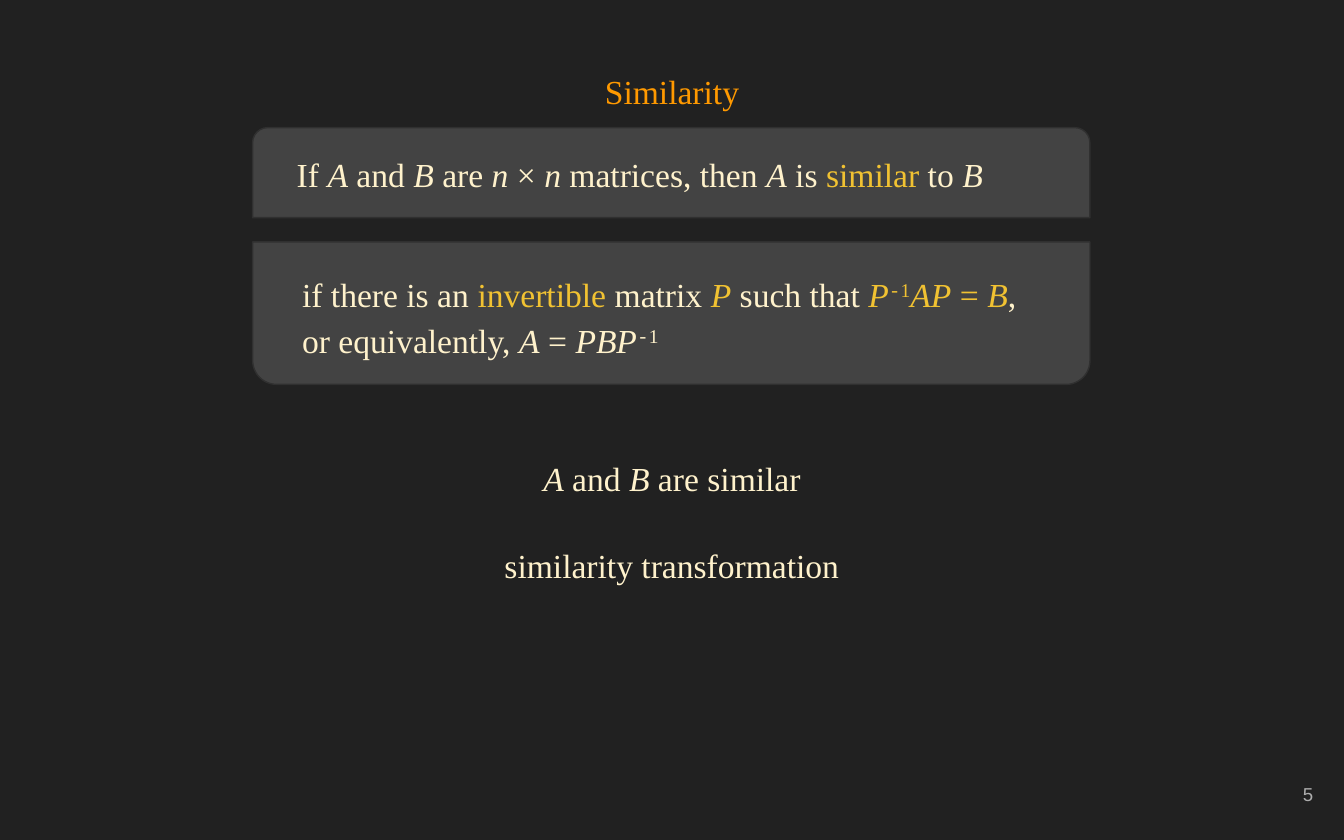
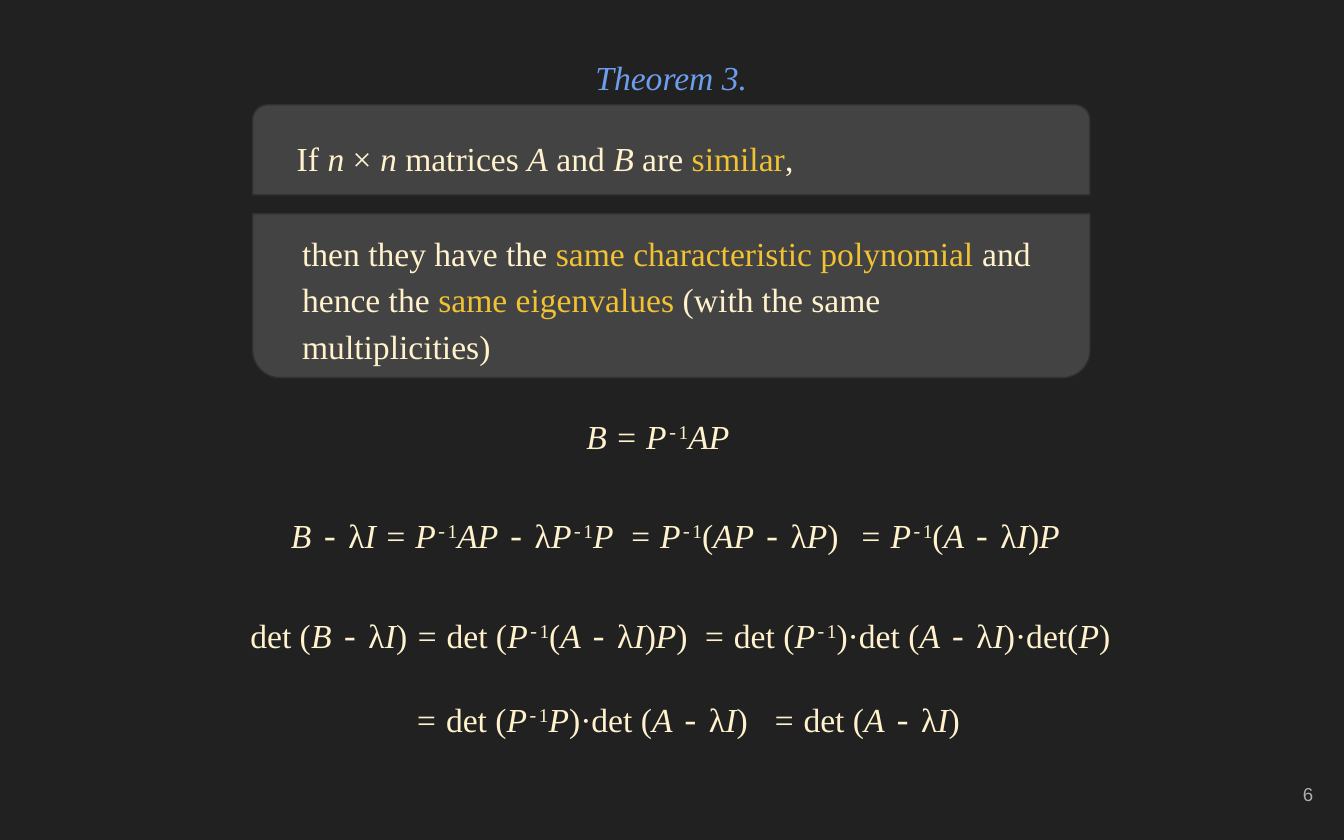
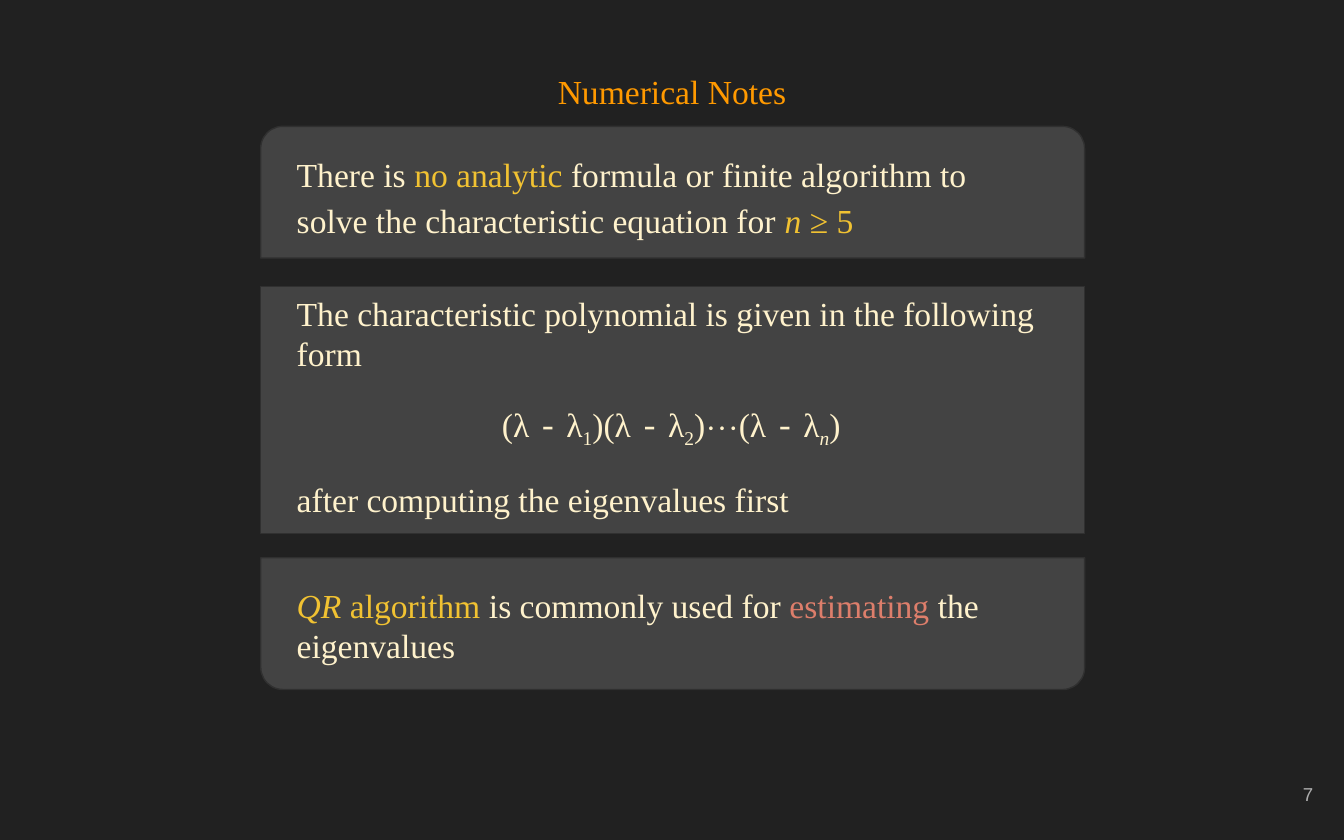
import pptx
import pptx.dml.color
import pptx.enum.shapes
import pptx.enum.text
import pptx.util

Inches = pptx.util.Inches
Align = pptx.enum.text.PP_ALIGN
Anchor = pptx.enum.text.MSO_ANCHOR
Preset = pptx.enum.shapes.MSO_SHAPE

BACKGROUND, PANEL, OUTLINE = "212121", "434343", "303030"
CREAM, GOLD, SALMON = "FFF2CC", "F1C232", "DD7E6B"
ORANGE, BLUE, GREY = "FF9900", "6D9EEB", "ADADAD"
SERIF, SANS, MONO = "Times New Roman", "Arial", "Courier New"

# Inline marks; each one switches its style on and off
ITALIC, SUPERSCRIPT, SUBSCRIPT = "*", "^", "_"
MARK_COLOURS = {"|": GOLD, "~": SALMON}
MARK_BASELINES = {SUPERSCRIPT: "30000", SUBSCRIPT: "-25000"}
MARKS = {ITALIC, *MARK_COLOURS, *MARK_BASELINES}
MINUS = "-"


def colour(value):
    return pptx.dml.color.RGBColor.from_string(value)


def split_runs(markup):
    """Yield (text, active marks); each minus sign is a run of its own."""
    active, text = set(), ""
    for character in markup:
        if character in MARKS or character == MINUS:
            if text:
                yield text, set(active)
            text = ""
            if character == MINUS:
                yield MINUS, set(active)
            else:
                active ^= {character}
        else:
            text += character
    if text:
        yield text, active


class Deck:
    def __init__(self):
        self.presentation = pptx.Presentation()
        self.presentation.slide_width = Inches(10)
        self.presentation.slide_height = Inches(6.25)
        fill = self.presentation.slide_master.background.fill
        fill.solid()
        fill.fore_color.rgb = colour(BACKGROUND)
        self.slide = None

    def add_slide(self, number):
        self.slide = self.presentation.slides.add_slide(self.presentation.slide_layouts[6])
        self.text((9.27, 5.67, 0.6, 0.48), str(number), align=Align.RIGHT,
                  font=SANS, size=10, text_colour=GREY, line_spacing=None)

    def paragraph(self, paragraph, markup, align=Align.LEFT, font=SERIF, size=18,
                  text_colour=CREAM, line_spacing=1.15, before=0, after=0):
        paragraph.alignment = align
        paragraph.line_spacing = line_spacing
        paragraph.space_before = pptx.util.Pt(before)
        paragraph.space_after = pptx.util.Pt(after)
        paragraph.font.name = font
        paragraph.font.size = pptx.util.Pt(size)
        paragraph.font.color.rgb = colour(text_colour)
        for text, marks in split_runs(markup):
            run = paragraph.add_run()
            run.text = text
            if text == MINUS:
                run.font.name = MONO
            if ITALIC in marks:
                run.font.italic = True
            for mark in marks & MARK_COLOURS.keys():
                run.font.color.rgb = colour(MARK_COLOURS[mark])
            for mark in marks & MARK_BASELINES.keys():
                run.font._element.set("baseline", MARK_BASELINES[mark])

    def text(self, box, markup, shapes=None, anchor=Anchor.MIDDLE, **style):
        shapes = shapes or self.slide.shapes
        frame = shapes.add_textbox(*map(Inches, box)).text_frame
        frame.word_wrap = True
        frame.vertical_anchor = anchor
        frame.margin_left = frame.margin_right = Inches(0.1)
        frame.margin_top = frame.margin_bottom = Inches(0.1)
        self.paragraph(frame.paragraphs[0], markup, **style)
        return frame

    def title(self, markup):
        self.text((0.34, 0.38, 9.32, 0.48), markup, anchor=Anchor.TOP,
                  align=Align.CENTER, text_colour=ORANGE, after=16)

    def equation(self, box, markup):
        self.text(box, markup, align=Align.CENTER)

    def panel(self, box, text_box, markup, rounded="top", **style):
        """A grey panel grouped with its text; rounded is top, bottom or None."""
        shapes = self.slide.shapes.add_group_shape().shapes
        preset = Preset.ROUND_2_SAME_RECTANGLE if rounded else Preset.RECTANGLE
        shape = shapes.add_shape(preset, *map(Inches, box))
        if rounded:
            shape.adjustments[0], shape.adjustments[1] = 0.167, 0
        if rounded == "bottom":
            shape.rotation = 180
        shape.shadow.inherit = False
        shape.fill.solid()
        shape.fill.fore_color.rgb = colour(PANEL)
        shape.line.color.rgb = colour(OUTLINE)
        shape.line.width = pptx.util.Pt(0.75)
        return self.text(text_box, markup, shapes, **style)


def similarity(deck):
    deck.add_slide(5)
    deck.title("Similarity")
    deck.panel((1.88, 0.95, 6.23, 0.67), (2.11, 1, 5.77, 0.56),
               "If *A* and *B* are *n *× *n *matrices, then *A* is |similar |to *B*",
               anchor=Anchor.TOP, after=16)
    deck.panel((1.88, 1.8, 6.23, 1.06), (2.15, 1.83, 5.7, 1.01),
               "if there is an |invertible |matrix |*P*| such that "
               "|*P*^-1^*AP* = *B*|, or equivalently, *A* = *PBP*^-1^",
               rounded="bottom")
    deck.equation((3.36, 3.23, 3.28, 0.61), "*A* and *B* are similar")
    deck.equation((3.36, 3.88, 3.28, 0.61), "similarity transformation")


def theorem(deck):
    deck.add_slide(6)
    deck.text((0.48, 0.28, 9.03, 0.58), "*Theorem 3.*", align=Align.CENTER,
              text_colour=BLUE, line_spacing=None, after=16)
    deck.panel((1.88, 0.78, 6.23, 0.67), (2.11, 0.88, 5.77, 0.56),
               "If *n *× *n *matrices *A* and *B* are |similar|,",
               anchor=Anchor.TOP, after=16)
    deck.panel((1.88, 1.59, 6.23, 1.22), (2.15, 1.7, 5.7, 1.01),
               "then they have the |same characteristic polynomial| and hence the "
               "|same eigenvalues| (with the same multiplicities)",
               rounded="bottom")

    # Proof, one row of steps after another: top, height, (left, width, step)
    proof = [
        (2.93, 0.58, [(4.06, 1.67, "*B = P*^-1^*AP*")]),
        (3.68, 0.56, [(1.94, 2.85, "*B *- λ*I = P*^-1^*AP *- λ*P*^-1^*P*"),
                      (4.54, 1.84, "*= P*^-1^(*AP *- λ*P*)"),
                      (6.22, 1.84, "*= P*^-1^(*A *- λ*I*)*P*")]),
        (4.41, 0.58, [(1.61, 3.76, "det (*B *- λ*I*)* = *det (*P*^-1^(*A *- λ*I*)*P*)"),
                      (5.1, 3.29, "*= *det (*P*^-1^)·det (*A *- λ*I*)·det(*P*)")]),
        (5.04, 0.58, [(2.83, 2.99, "*= *det (*P*^-1^*P*)·det (*A *- λ*I*)"),
                      (5.63, 1.63, "*= *det (*A *- λ*I*)")]),
    ]
    for top, height, steps in proof:
        for left, width, step in steps:
            deck.equation((left, top, width, height), step)


def numerical_notes(deck):
    deck.add_slide(7)
    deck.title("Numerical Notes")
    deck.panel((1.94, 0.94, 6.13, 0.98), (2.11, 1, 5.77, 0.99),
               "There is |no analytic| formula or finite algorithm to solve "
               "the characteristic equation for |*n *≥ 5|",
               anchor=Anchor.TOP, after=16)
    frame = deck.panel((1.94, 2.13, 6.13, 1.84), (2.11, 2.08, 5.77, 1.89),
                       "The characteristic polynomial is given in the following form",
                       rounded=None, anchor=Anchor.TOP, line_spacing=None)
    deck.paragraph(frame.add_paragraph(), "(λ - λ_1_)(λ - λ_2_)⋯(λ - λ_*n*_)",
                   align=Align.CENTER, line_spacing=None, before=16)
    deck.paragraph(frame.add_paragraph(), "after computing the eigenvalues first",
                   line_spacing=None, before=16)
    deck.panel((1.94, 4.15, 6.13, 0.98), (2.11, 4.25, 5.77, 0.99),
               "|*QR* algorithm| is commonly used for ~estimating ~the eigenvalues",
               rounded="bottom", anchor=Anchor.TOP, line_spacing=None)


def main():
    deck = Deck()
    similarity(deck)
    theorem(deck)
    numerical_notes(deck)
    deck.presentation.save("out.pptx")


if __name__ == "__main__":
    main()
